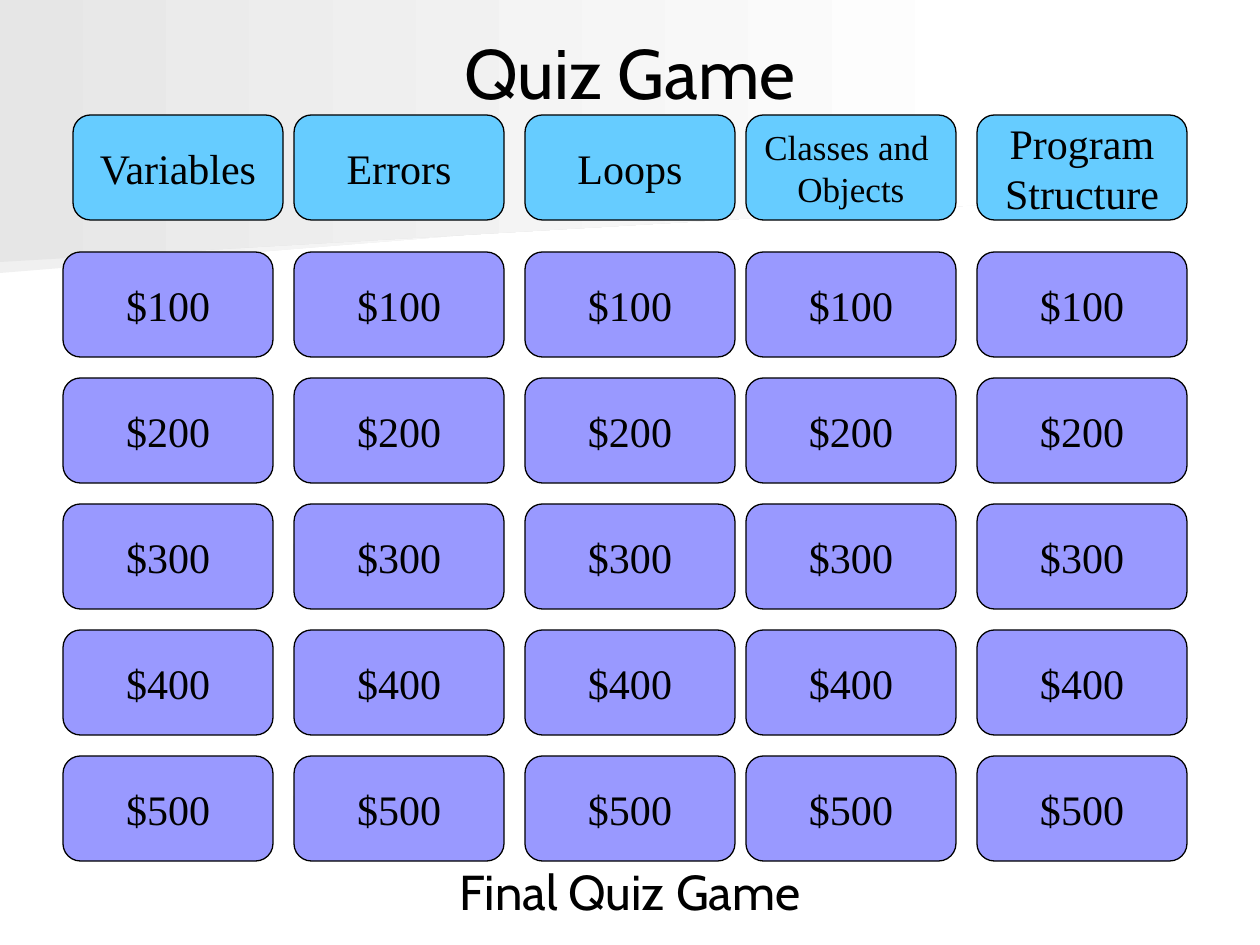
"""Build a quiz board slide with five categories and five prize rows."""
from pptx import Presentation
from pptx.dml.color import RGBColor
from pptx.enum.shapes import MSO_SHAPE as Preset
from pptx.enum.text import MSO_ANCHOR as Anchor, PP_ALIGN as Align
from pptx.util import Emu, Pt

SCALE = 914400 / 126
BLACK = RGBColor(0x00, 0x00, 0x00)
WHITE = RGBColor(0xFF, 0xFF, 0xFF)
PALE_GREY = RGBColor(0xF0, 0xF0, 0xF0)
GREY = RGBColor(0xE6, 0xE6, 0xE6)
SKY = RGBColor(0x66, 0xCC, 0xFF)
VIOLET = RGBColor(0x99, 0x99, 0xFF)

CARD_WIDTH, CARD_HEIGHT = 210, 105
COLUMNS = (63, 294, 525, 746, 977)
HEADER_TOP, FIRST_ROW, ROW_STEP = 115, 252, 126
CATEGORIES = (
    ("Variables", 73, 24),
    ("Errors", 294, 24),
    ("Loops", 525, 24),
    ("Classes and \nObjects", 746, 20),
    ("Program\nStructure", 977, 24),
)
PRIZES = ("$100", "$200", "$300", "$400", "$500")
SWEEPS = (
    (((980, 193), (0, 273), (0, 127), (981, 127), (980, 161)), PALE_GREY),
    (((998, 204), (0, 262), (0, 0), (998, 0)), GREY),
)


def px(value):
    """Turn picture pixels into EMU."""
    return Emu(round(value * SCALE))


def set_attributes(target, values):
    """Set each attribute named in a dict."""
    for name, value in values.items():
        setattr(target, name, value)


def write_text(shape, text, font, size, wrap):
    """Write centred text, one paragraph for each line."""
    frame = shape.text_frame
    set_attributes(frame, {
        "text": text, "word_wrap": wrap, "vertical_anchor": Anchor.MIDDLE,
    })
    for paragraph in frame.paragraphs:
        paragraph.alignment = Align.CENTER
        for run in paragraph.runs:
            set_attributes(run.font, {"name": font, "size": Pt(size)})
            run.font.color.rgb = BLACK


def add_sweep(slide, points, start_color):
    """Add a background outline that fades to white on the right."""
    builder = slide.shapes.build_freeform(*points[0], scale=SCALE)
    builder.add_line_segments(points[1:], close=True)
    shape = builder.convert_to_shape()
    shape.shadow.inherit = False
    shape.line.fill.background()
    shape.fill.gradient()
    shape.fill.gradient_angle = 0
    for stop, color in zip(shape.fill.gradient_stops, (start_color, WHITE)):
        stop.color.rgb = color


def add_card(slide, left, top, text, color, size=24):
    """Add one rounded board card."""
    shape = slide.shapes.add_shape(
        Preset.FLOWCHART_ALTERNATE_PROCESS,
        px(left), px(top), px(CARD_WIDTH), px(CARD_HEIGHT))
    shape.shadow.inherit = False
    shape.fill.solid()
    shape.fill.fore_color.rgb = color
    shape.line.color.rgb = BLACK
    shape.line.width = Pt(0.74)
    write_text(shape, text, "Times New Roman", size, False)


def add_caption(slide, top, text, size):
    """Add a centred line of text across the board."""
    box = slide.shapes.add_textbox(px(63), px(top), px(1134), px(67))
    write_text(box, text, "Cabin", size, True)


def main():
    """Build and save the slide."""
    presentation = Presentation()
    set_attributes(presentation, {
        "slide_width": px(1260), "slide_height": px(945),
    })
    slide = presentation.slides.add_slide(presentation.slide_layouts[6])
    for points, color in SWEEPS:
        add_sweep(slide, points, color)
    add_caption(slide, 38, "Quiz Game", 40)
    for text, left, size in CATEGORIES:
        add_card(slide, left, HEADER_TOP, text, SKY, size)
    for left in COLUMNS:
        for row, prize in enumerate(PRIZES):
            add_card(slide, left, FIRST_ROW + row * ROW_STEP, prize, VIOLET)
    add_caption(slide, 857, "Final Quiz Game", 28)
    presentation.save("out.pptx")


main()
